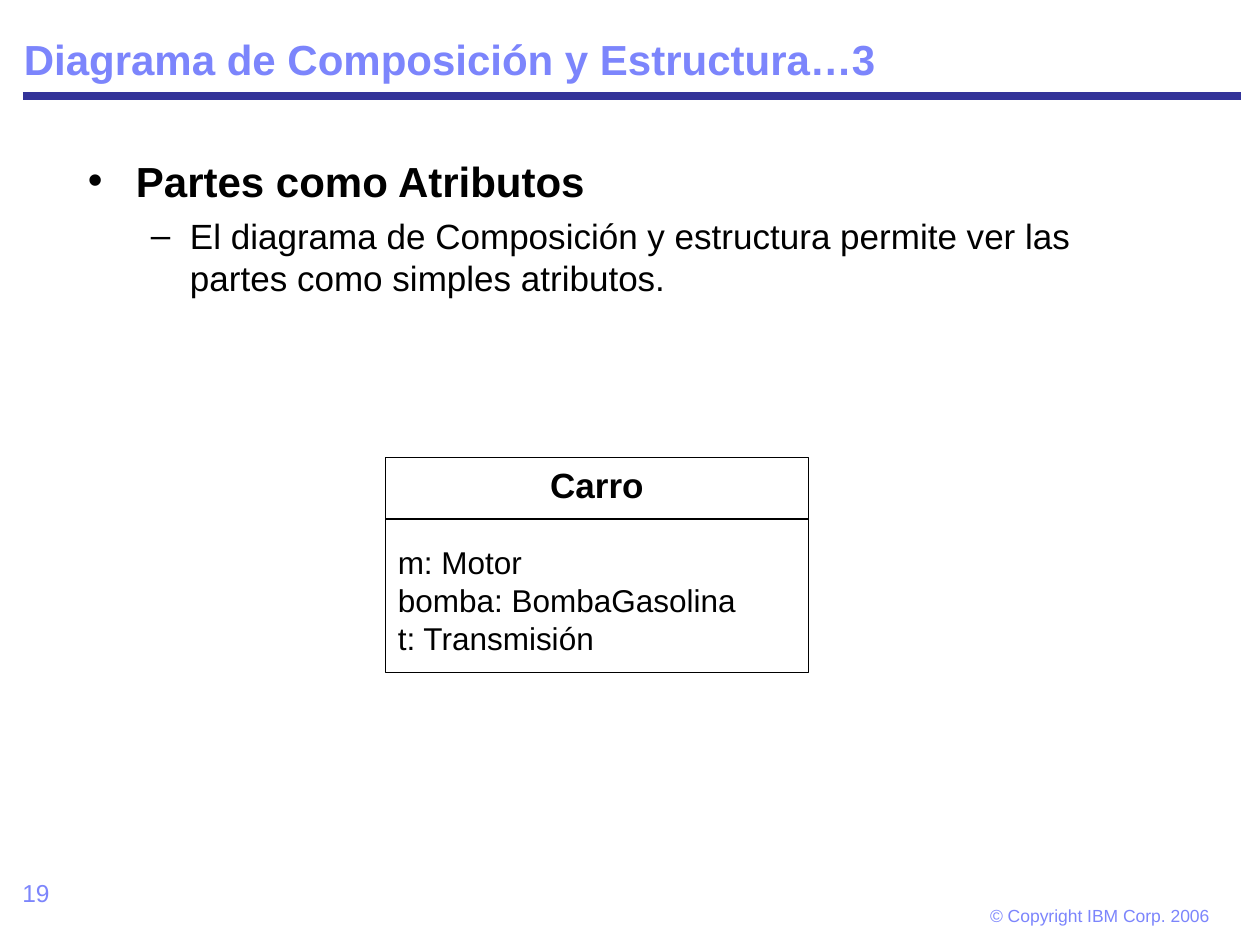
from pptx import Presentation
from pptx.dml.color import RGBColor
from pptx.enum import shapes, text
from pptx.oxml import parse_xml
from pptx.oxml.ns import nsdecls
from pptx.util import Cm, Pt

# Content
TITLE = "Diagrama de Composición y Estructura…3"
BODY = [
    ("Partes como Atributos",
     dict(size="head", bold=True, bullet="•", indent=(0.97, -0.97))),
    ("El diagrama de Composición y estructura permite ver las partes "
     "como simples atributos.",
     dict(size="body", bullet="–", indent=(2.06, -0.79), level=1, before=5)),
]
CLASS = "Carro"
PARTS = ["m: Motor", "bomba: BombaGasolina", "t: Transmisión"]
PAGE = "19"
RIGHTS = "© Copyright IBM Corp. 2006"

THEME = {
    "font": "Arial",
    "ink": RGBColor(0x00, 0x00, 0x00),
    "paper": RGBColor(0xFF, 0xFF, 0xFF),
    "soft": RGBColor(0x7C, 0x85, 0xFC),
    "rule": RGBColor(0x33, 0x33, 0x99),
    "head": Pt(24), "body": Pt(20), "part": Pt(18), "page": Pt(14),
    "small": Pt(10),
}


def write(frame, words, size="body", color="ink", bold=False, bullet=None,
          indent=None, level=0, before=0, align=text.PP_ALIGN.LEFT):
    """Put one formatted paragraph in the frame, filling an empty first one."""
    first = frame.paragraphs[0]
    para = frame.add_paragraph() if first.runs else first
    if bullet:
        props = para._p.get_or_add_pPr()
        left, hang = indent
        props.set("marL", str(Cm(left)))
        props.set("indent", str(Cm(hang)))
        for xml in (f'<a:buClr {nsdecls("a")}><a:srgbClr val="{THEME[color]}"/></a:buClr>',
                    f'<a:buFont {nsdecls("a")} typeface="{THEME["font"]}"/>',
                    f'<a:buChar {nsdecls("a")} char="{bullet}"/>'):
            props.append(parse_xml(xml))
    para.level = level
    para.alignment = align
    para.space_before = Pt(before)
    run = para.add_run()
    run.text = words
    font = run.font
    font.name, font.size, font.bold = THEME["font"], THEME[size], bold
    font.color.rgb = THEME[color]


def place(shape, left, top, width, height):
    shape.left, shape.top = Cm(left), Cm(top)
    shape.width, shape.height = Cm(width), Cm(height)


def setup(frame, anchor=text.MSO_ANCHOR.TOP, wrap=True, inset=(0.25, 0.13)):
    frame.auto_size = text.MSO_AUTO_SIZE.NONE
    frame.word_wrap = wrap
    frame.vertical_anchor = anchor
    frame.margin_left = frame.margin_right = Cm(inset[0])
    frame.margin_top = frame.margin_bottom = Cm(inset[1])
    return frame


def rule(left, right, y, color, width):
    line = slide.shapes.add_connector(
        shapes.MSO_CONNECTOR.STRAIGHT, Cm(left), Cm(y), Cm(right), Cm(y))
    line.line.color.rgb, line.line.width = THEME[color], Pt(width)
    line._element.spPr.append(parse_xml(f'<a:effectLst {nsdecls("a")}/>'))


def label(words, left, top, width, height, wrap=True, inset=(0.25, 0.13), **form):
    box = slide.shapes.add_textbox(Cm(left), Cm(top), Cm(width), Cm(height))
    write(setup(box.text_frame, wrap=wrap, inset=inset), words, **form)


# Slide
deck = Presentation()
deck.slide_width, deck.slide_height = Cm(25.4), Cm(19.05)
slide = deck.slides.add_slide(deck.slide_layouts[1])

# Heading and its rule
rule(0.46, 25.02, 1.94, "rule", 4.5)
head = slide.shapes.title
place(head, 0.23, 0.23, 23.88, 1.6)
write(setup(head.text_frame, text.MSO_ANCHOR.BOTTOM), TITLE,
      size="head", color="soft", bold=True)

# Bulleted list
body = slide.placeholders[1]
place(body, 1.52, 3, 22.35, 13.67)
frame = setup(body.text_frame)
for words, form in BODY:
    write(frame, words, **form)

# Class box: name above the divider, attributes below
LEFT, TOP, WIDE, HIGH, NAME = 7.77, 9.22, 8.53, 4.34, 1.24
box = slide.shapes.add_shape(shapes.MSO_SHAPE.RECTANGLE,
                             Cm(LEFT), Cm(TOP), Cm(WIDE), Cm(HIGH))
box.shadow.inherit = False
box.fill.solid()
box.fill.fore_color.rgb = THEME["paper"]
box.line.color.rgb, box.line.width = THEME["ink"], Pt(0.75)
frame = setup(box.text_frame)
write(frame, CLASS, bold=True, align=text.PP_ALIGN.CENTER)
for i, part in enumerate(PARTS):
    write(frame, part, size="part", before=0 if i else 21.5)
rule(LEFT, LEFT + WIDE, TOP + NAME, "ink", 0.75)

# Footer
label(PAGE, 0.2, 17.58, 5.92, 1.32, size="page", color="soft")
label(RIGHTS, 19.58, 18.06, 5.18, 0.81, wrap=False, inset=(0.38, 0.18),
      size="small", color="soft")

deck.save("out.pptx")
